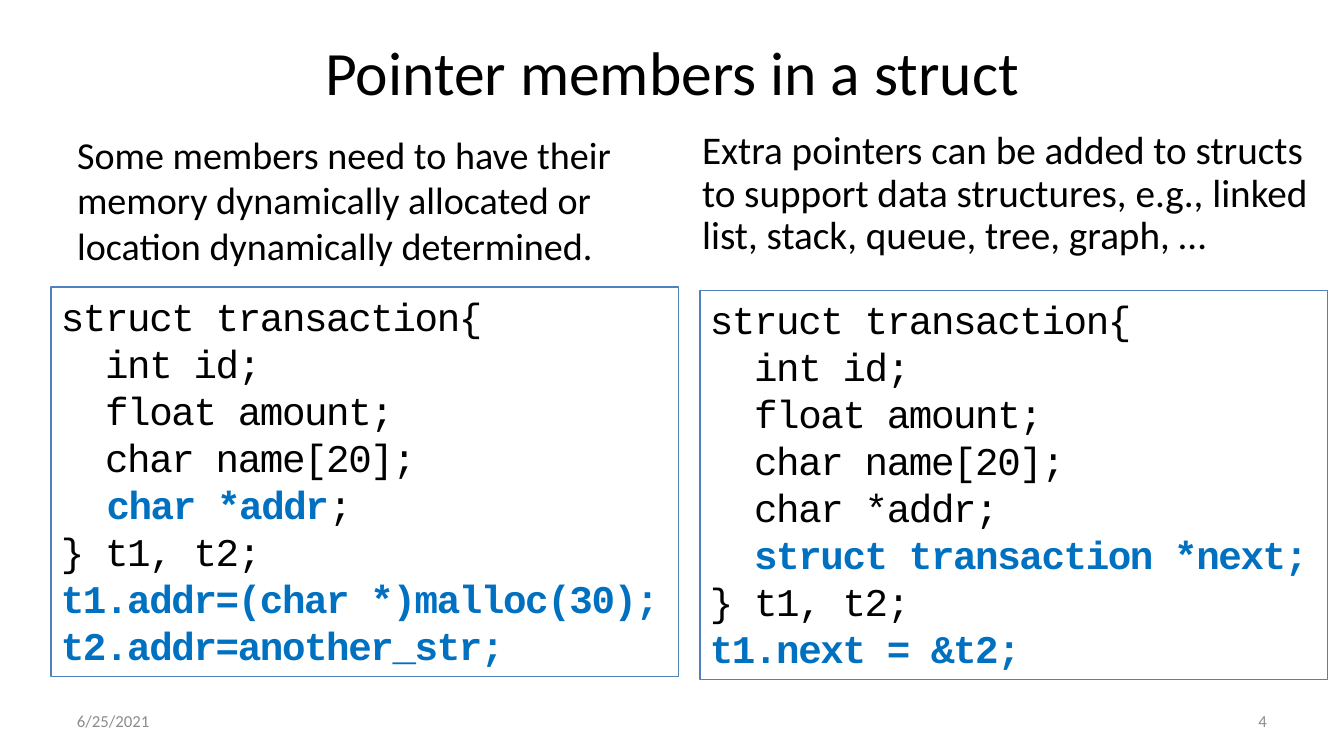
"""Builds the slide on pointer members in a struct."""
from pptx import Presentation
from pptx import util as u
from pptx.dml.color import RGBColor
from pptx.enum import shapes, text

TITLE = ("Pointer members in a struct", (93, 21, 1159, 100))
INTROS = [
    ("Some members need to have their memory dynamically allocated or "
     "location dynamically determined.", (67, 126, 598, 148), 27.2, None, None),
    ("Extra pointers can be added to structs to support data structures, e.g., "
     "linked list, stack, queue, tree, graph, …", (692, 126, 640, 156), 28, 0.9, 10),
]
MARK = "|"
LISTINGS = [
    ((51, 287, 628, 390), [
        "struct transaction{",
        "  int id;",
        "  float amount;",
        "  char name[20];",
        "  |char *addr|;",
        "} t1, t2;",
        "|t1.addr=(char *)malloc(30);|",
        "|t2.addr=another_str;|",
    ]),
    ((700, 290, 628, 390), [
        "struct transaction{",
        "  int id;",
        "  float amount;",
        "  char name[20];",
        "  char *addr;",
        "|  struct transaction *next;|",
        "} t1, t2;",
        "|t1.next = &t2;|",
    ]),
]
FOOTERS = [
    ("6/25/2021", (67, 701, 314, 40), text.PP_ALIGN.LEFT),
    ("4", (963, 701, 314, 40), text.PP_ALIGN.RIGHT),
]
BLACK = RGBColor(0x00, 0x00, 0x00)
GREY = RGBColor(0x8C, 0x8C, 0x8C)
HIGHLIGHT = RGBColor(0x00, 0x70, 0xC0)
OUTLINE = RGBColor(0x4F, 0x81, 0xBD)
SCALE = 914400 / 100.8


def px(*lengths):
    return [u.Emu(round(length * SCALE)) for length in lengths]


def style(run, size, color, font="Calibri", bold=False):
    run.font.size = u.Pt(size)
    run.font.name = font
    run.font.bold = bold
    run.font.color.rgb = color


def fill_frame(holder, wording, size, color):
    frame = holder.text_frame
    frame.text = wording
    frame.word_wrap = True
    frame.auto_size = text.MSO_AUTO_SIZE.NONE
    line = frame.paragraphs[0]
    style(line.runs[0], size, color)
    return line


def place(holder, box):
    holder.left, holder.top, holder.width, holder.height = px(*box)


def add_listing(slide, box, code):
    panel = slide.shapes.add_shape(shapes.MSO_SHAPE.RECTANGLE, *px(*box))
    panel.shadow.inherit = False
    panel.fill.background()
    panel.line.color.rgb = OUTLINE
    panel.line.width = u.Pt(0.75)
    frame = panel.text_frame
    frame.word_wrap = True
    frame.auto_size = text.MSO_AUTO_SIZE.SHAPE_TO_FIT_TEXT
    frame.vertical_anchor = text.MSO_ANCHOR.TOP
    for row, statement in enumerate(code):
        line = frame.add_paragraph() if row else frame.paragraphs[0]
        line.alignment = text.PP_ALIGN.LEFT
        for part, words in enumerate(statement.split(MARK)):
            if words:
                marked = part % 2 == 1
                run = line.add_run()
                run.text = words
                style(run, 28, HIGHLIGHT if marked else BLACK, "Courier New", marked)
                run.font._element.set("spc", "-100")


def main():
    deck = Presentation()
    deck.slide_width, deck.slide_height = px(1344, 756)
    slide = deck.slides.add_slide(deck.slide_layouts[3])
    title, *intros = slide.placeholders

    wording, box = TITLE
    place(title, box)
    fill_frame(title, wording, 44, BLACK).alignment = text.PP_ALIGN.CENTER
    title.text_frame.vertical_anchor = text.MSO_ANCHOR.MIDDLE

    for intro, (wording, box, size, spacing, before) in zip(intros, INTROS):
        place(intro, box)
        line = fill_frame(intro, wording, size, BLACK)
        if spacing:
            line.line_spacing = spacing
            line.space_before = u.Pt(before)
        settings = line._p.get_or_add_pPr()
        settings.set("marL", "0")
        settings.set("indent", "0")
        settings.append(settings.makeelement(
            "{http://schemas.openxmlformats.org/drawingml/2006/main}buNone", {}))

    for box, code in LISTINGS:
        add_listing(slide, box, code)

    for wording, box, side in FOOTERS:
        footer = slide.shapes.add_textbox(*px(*box))
        fill_frame(footer, wording, 12, GREY).alignment = side
        footer.text_frame.vertical_anchor = text.MSO_ANCHOR.MIDDLE

    deck.save("out.pptx")


if __name__ == "__main__":
    main()
